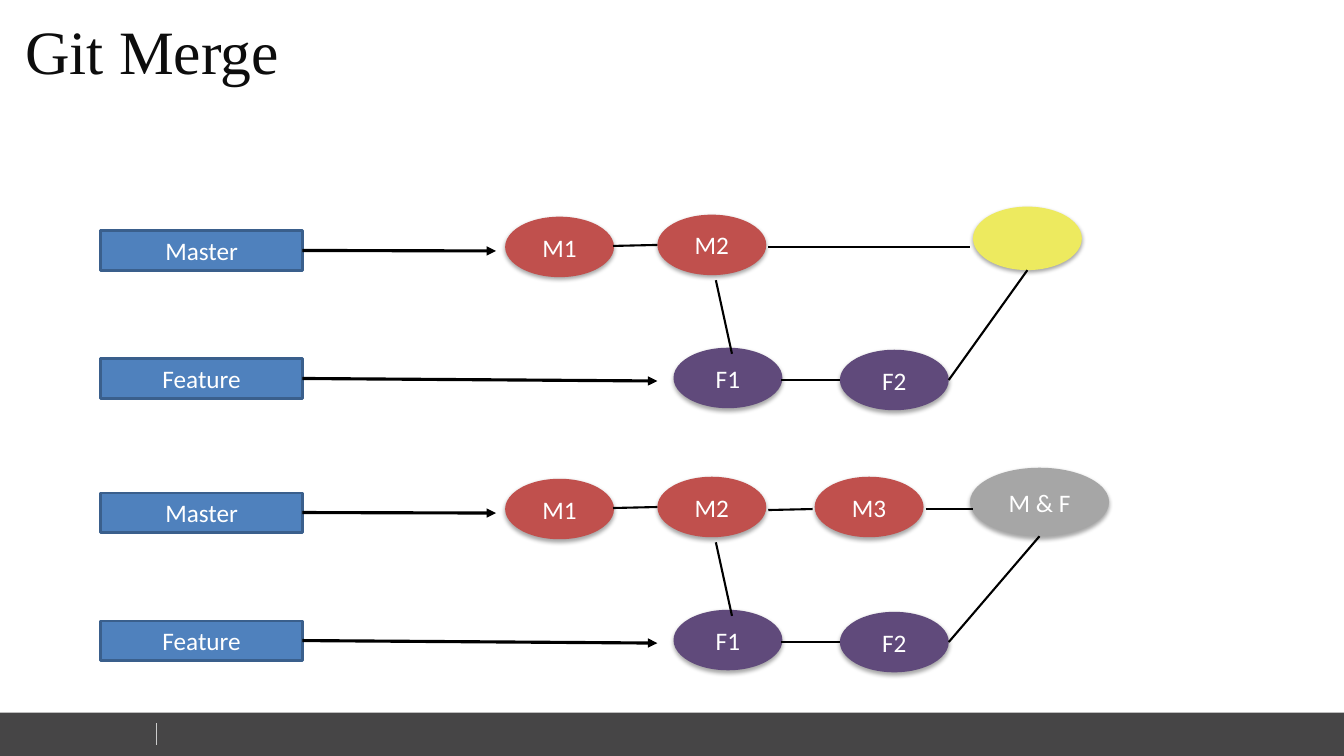
from lxml.etree import SubElement
from pptx import Presentation
from pptx.dml.color import RGBColor
from pptx.enum.shapes import MSO_CONNECTOR as Connector, MSO_SHAPE as Shape
from pptx.enum.text import MSO_ANCHOR as Anchor, PP_ALIGN as Align
from pptx.oxml.ns import qn
from pptx.util import Inches, Pt

COLUMNS, ROWS = 13.33, 7.5
CELL = Inches(1)
COLORS = {
    "footer": "464546", "divider": "CCCCCC", "title": "0D0D0D",
    "branch": "4F81BD", "branch_edge": "3A5F8C", "master": "C0504D",
    "feature": "604A7B", "merged": "A6A6A6", "pending": "EDEA5F",
    "label": "FFFFFF", "link": "000000",
}
LABEL_COLUMN, LABEL_WIDTH, LABEL_HEIGHT = 1, 2, 0.39
COMMIT_WIDTH, COMMIT_HEIGHT = 1.08, 0.6
SHARED_COMMITS = [
    ("M1", "master", 5.01, 0.1), ("M2", "master", 6.52, 0.08),
    ("F1", "feature", 6.68, 1.4), ("F2", "feature", 8.33, 1.42),
]
SHARED_LINKS = [
    (6.08, 0.39, 6.52, 0.38), (7.1, 0.73, 7.26, 1.46),
    (7.75, 1.72, 8.33, 1.72),
]
BRANCHES = [("Master", 0.24, 4.92, 0.44), ("Feature", 1.51, 6.52, 1.73)]


def grid(*cells):
    """Turn columns and rows of the grid into lengths."""
    return [round(cell * CELL) for cell in cells]


def color(name):
    """Look up a colour by its role."""
    return RGBColor.from_string(COLORS[name])


def write(paragraph, text, size, font, ink):
    """Add one formatted run to a paragraph."""
    run = paragraph.add_run()
    run.text = text
    run.font.size, run.font.name = Pt(size), font
    run.font.color.rgb = color(ink)


def add_filled(slide, kind, box, fill, text=""):
    """Add a flat shape with an optional centred label."""
    part = slide.shapes.add_shape(kind, *grid(*box))
    part.fill.solid()
    part.fill.fore_color.rgb = color(fill)
    part.line.fill.background()
    part.shadow.inherit = False
    if text:
        part.text_frame.vertical_anchor = Anchor.MIDDLE
        paragraph = part.text_frame.paragraphs[0]
        paragraph.alignment = Align.CENTER
        write(paragraph, text, 18, "Calibri", "label")
    return part


def add_link(slide, ends, width=1.5, ink="link", arrow=False):
    """Draw a straight line between two grid points."""
    link = slide.shapes.add_connector(Connector.STRAIGHT, *grid(*ends))
    link.line.width = Pt(width)
    link.line.color.rgb = color(ink)
    if arrow:
        SubElement(link.line._get_or_add_ln(), qn("a:tailEnd"), type="triangle")
    SubElement(link._element.spPr, qn("a:effectLst"))
    return link


def add_commit(slide, text, fill, box):
    """Add a commit ellipse with a soft shadow below it."""
    commit = add_filled(slide, Shape.OVAL, box, fill, text)
    effects = commit._element.spPr.find(qn("a:effectLst"))
    shadow = SubElement(effects, qn("a:outerShdw"), blurRad=str(Pt(3.1)),
                        dist=str(Pt(1.8)), dir="5400000", rotWithShape="0")
    ink = SubElement(shadow, qn("a:srgbClr"), val=COLORS["link"])
    SubElement(ink, qn("a:alpha"), val="35000")


def add_branch(slide, top, name, row, arrow_column, arrow_row):
    """Add a branch label and the arrow leading to its first commit."""
    box = (LABEL_COLUMN, top + row, LABEL_WIDTH, LABEL_HEIGHT)
    label = add_filled(slide, Shape.RECTANGLE, box, "branch", name)
    label.line.color.rgb = color("branch_edge")
    label.line.width = Pt(2)
    ends = (LABEL_COLUMN + LABEL_WIDTH, top + row + LABEL_HEIGHT / 2,
            arrow_column, top + arrow_row)
    add_link(slide, ends, 2.25, arrow=True).begin_connect(label, 3)


def add_history(slide, top, extra_commits, extra_links, merge):
    """Draw a master and feature history that ends in a merge commit."""
    for branch in BRANCHES:
        add_branch(slide, top, *branch)
    for text, fill, column, row in SHARED_COMMITS + extra_commits:
        add_commit(slide, text, fill,
                   (column, top + row, COMMIT_WIDTH, COMMIT_HEIGHT))
    text, fill, column, row, width, height = merge
    add_commit(slide, text, fill, (column, top + row, width, height))
    merge_foot = (column + width / 2, row + height, 9.41, 1.72)
    for x1, y1, x2, y2 in SHARED_LINKS + extra_links + [merge_foot]:
        add_link(slide, (x1, top + y1, x2, top + y2))


def add_title(slide, box, text):
    """Write the slide title."""
    frame = slide.shapes.add_textbox(*grid(*box)).text_frame
    frame.word_wrap = True
    frame.margin_left = frame.margin_right = frame.margin_bottom = 0
    frame.margin_left, frame.margin_top = grid(0.01, 0.02)
    frame.paragraphs[0].space_before = Pt(1.1)
    write(frame.paragraphs[0], text, 44, "Times New Roman", "title")


def add_footer(slide, box):
    """Draw the footer band and its divider."""
    left, top, width, height = box
    add_filled(slide, Shape.RECTANGLE, box, "footer")
    column = left + 1.55
    add_link(slide, (column, top + height * 0.25, column, top + height * 0.75),
             0.75, "divider")


def main():
    """Build and save the slide."""
    deck = Presentation()
    deck.slide_width, deck.slide_height = grid(COLUMNS, ROWS)
    slide = deck.slides.add_slide(deck.slide_layouts[6])
    add_footer(slide, (0, 7.07, COLUMNS, ROWS - 7.07))
    add_title(slide, (0.24, 0.11, 4.26, 0.76), "Git Merge")
    add_history(slide, 2.05, [], [(7.62, 0.4, 9.62, 0.4)],
                ("", "pending", 9.65, 0, 1.08, 0.63))
    add_history(slide, 4.65, [("M3", "master", 8.08, 0.08)],
                [(7.62, 0.41, 8.06, 0.4), (9.18, 0.4, 9.65, 0.4)],
                ("M & F", "merged", 9.62, -0.01, 1.38, 0.68))
    deck.save("out.pptx")


if __name__ == "__main__":
    main()
